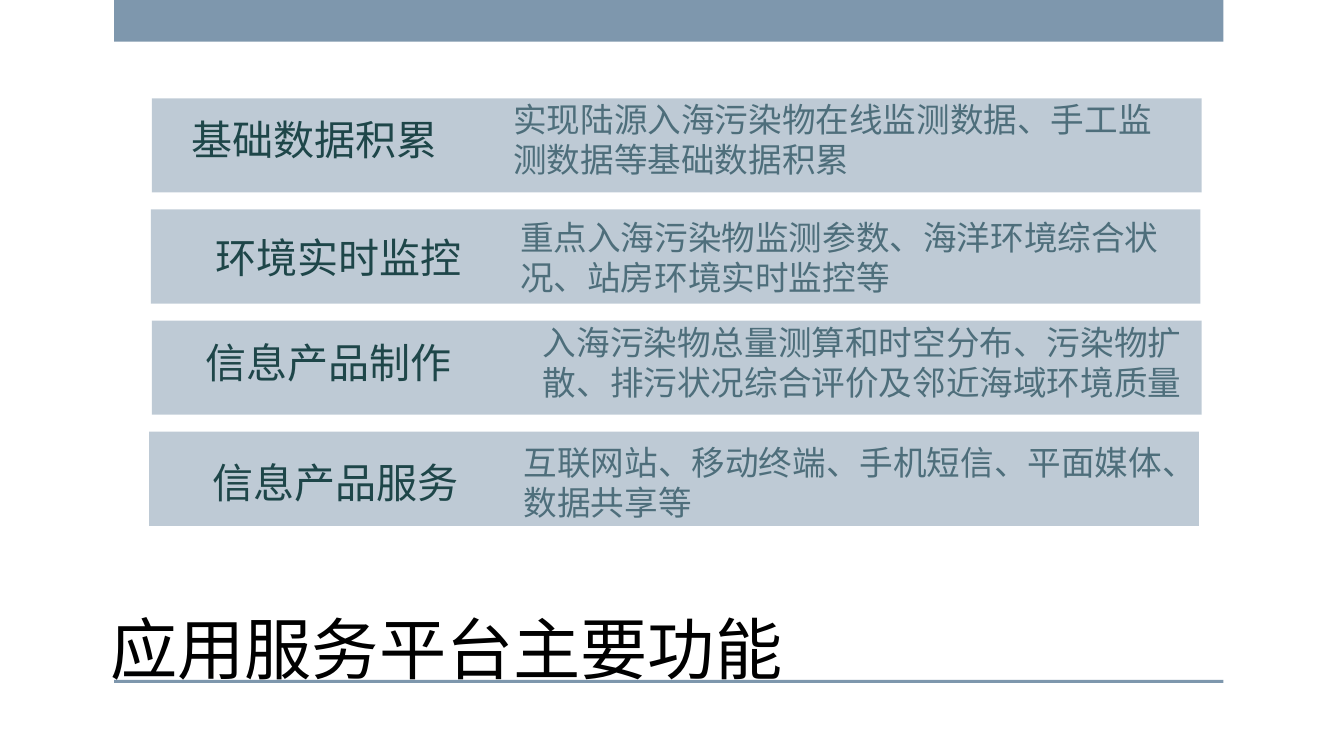
import dataclasses

import pptx
import pptx.dml.color
import pptx.enum.shapes
import pptx.enum.text
import pptx.oxml.ns
import pptx.util
from lxml import etree
from pptx.util import Cm


@dataclasses.dataclass(frozen=True)
class Theme:
    accent: str = "7E97AD"
    ink: str = "1E4649"
    heading: str = "000000"
    body_font: str = "Noto Sans CJK SC"
    heading_font: str = "Arial"
    detail_size: int = 18
    label_size: int = 22
    heading_size: int = 36


class SlideBuilder:
    """Draw styled elements on one page."""

    def __init__(self, page, theme):
        self.page = page
        self.theme = theme

    def fill_text(self, box, text, size, color, font, align):
        frame = box.text_frame
        frame.text = text
        frame.word_wrap = True
        frame.auto_size = pptx.enum.text.MSO_AUTO_SIZE.NONE
        frame.vertical_anchor = pptx.enum.text.MSO_ANCHOR.MIDDLE
        para = frame.paragraphs[0]
        para.alignment = align
        para.space_before = pptx.util.Pt(0)
        for span in para.runs:
            span.font.size = pptx.util.Pt(size)
            span.font.name = font
            span.font.color.rgb = pptx.dml.color.RGBColor.from_string(color)

    def title(self, text, left, top, width, height):
        box = self.page.shapes.title
        box.left, box.top, box.width, box.height = Cm(left), Cm(top), Cm(width), Cm(height)
        self.fill_text(box, text, self.theme.heading_size, self.theme.heading,
                       self.theme.heading_font, pptx.enum.text.PP_ALIGN.LEFT)

    def bar(self, shapes, left, top, width, height, opacity=100):
        box = shapes.add_shape(pptx.enum.shapes.MSO_SHAPE.RECTANGLE,
                               Cm(left), Cm(top), Cm(width), Cm(height))
        box.shadow.inherit = False
        box.fill.solid()
        box.fill.fore_color.rgb = pptx.dml.color.RGBColor.from_string(self.theme.accent)
        box.line.fill.background()
        if opacity < 100:
            qn = pptx.oxml.ns.qn
            color = box.element.spPr.find(qn("a:solidFill"))[0]
            etree.SubElement(color, qn("a:alpha")).set("val", str(opacity * 1000))

    def text(self, shapes, text, left, top, width, size, align):
        box = shapes.add_textbox(Cm(left), Cm(top), Cm(width), Cm(1.5))
        self.fill_text(box, text, size, self.theme.ink, self.theme.body_font, align)

    def function_row(self, label, detail, bar_at, label_left, detail_left, text_top):
        shapes = self.page.shapes.add_group_shape().shapes
        self.text(shapes, detail, detail_left, text_top, 13.11,
                  self.theme.detail_size, pptx.enum.text.PP_ALIGN.LEFT)
        self.bar(shapes, *bar_at, 19.84, 1.78, opacity=50)
        self.text(shapes, label, label_left, text_top, 7.54,
                  self.theme.label_size, pptx.enum.text.PP_ALIGN.CENTER)


FUNCTIONS = [
    ("基础数据积累", "实现陆源入海污染物在线监测数据、手工监测数据等基础数据积累",
     2.87, 2.18, 9.45, 1.88),
    ("环境实时监控", "重点入海污染物监测参数、海洋环境综合状况、站房环境实时监控等",
     2.85, 2.63, 9.58, 4.11),
    ("信息产品制作", "入海污染物总量测算和时空分布、污染物扩散、排污状况综合评价及邻近海域环境质量",
     2.87, 2.44, 10.01, 6.1),
    ("信息产品服务", "互联网站、移动终端、手机短信、平面媒体、数据共享等",
     2.82, 2.57, 9.65, 8.36),
]


def main():
    deck = pptx.Presentation()
    deck.slide_width, deck.slide_height = Cm(25.4), Cm(14.29)
    page = deck.slides.add_slide(deck.slide_layouts[5])
    builder = SlideBuilder(page, Theme())
    for top, height in ((0, 0.79), (12.85, 0.06)):
        builder.bar(page.shapes, 2.16, top, 20.96, height)
    for index, (label, detail, bar_left, label_left, detail_left, text_top) in enumerate(FUNCTIONS):
        builder.function_row(label, detail, (bar_left, 1.86 + 2.1 * index),
                             label_left, detail_left, text_top)
    builder.title("应用服务平台主要功能", 1.83, 11.35, 13.87, 1.8)
    deck.save("out.pptx")


if __name__ == "__main__":
    main()
